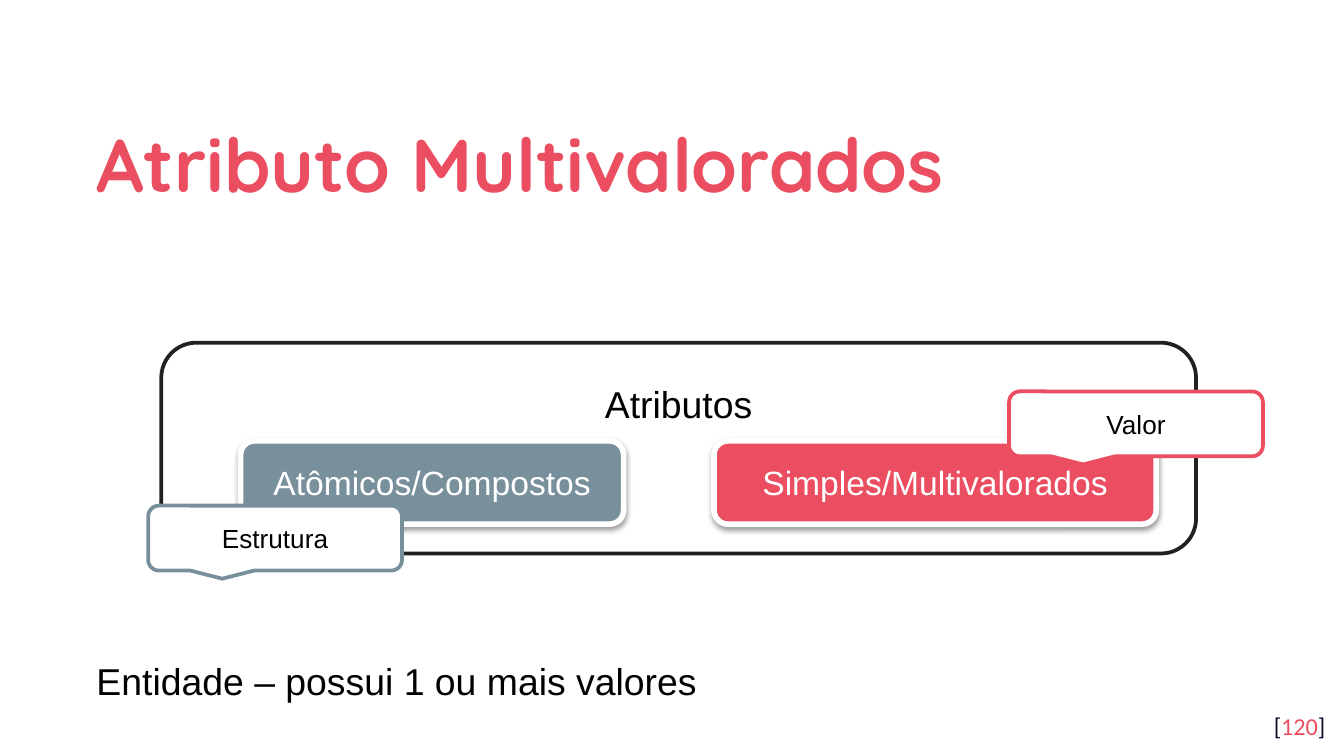
from dataclasses import dataclass

from lxml import etree
from pptx import Presentation
from pptx import util as u
from pptx.dml.color import RGBColor
from pptx.enum import shapes, text
from pptx.oxml.ns import qn

PP = text.PP_ALIGN
ANCHOR = text.MSO_ANCHOR
KIND = shapes.MSO_SHAPE


@dataclass(frozen=True)
class Theme:
    accent: str = "EA4E60"
    slate: str = "78909C"
    frame: str = "212121"
    navy: str = "040A24"
    black: str = "000000"
    white: str = "FFFFFF"
    heading: str = "Quicksand"
    body: str = "Arial"
    footer: str = "Calibri"
    title: int = 40
    large: int = 20
    medium: int = 18
    label: int = 14
    number: int = 13


def rgb(value):
    return RGBColor.from_string(value)


def write(tf, runs, font, size, align=PP.LEFT, anchor=ANCHOR.TOP,
          bold=False, spacing=None, margins=(7.2, 3.6, 7.2, 3.6)):
    tf.word_wrap = True
    tf.vertical_anchor = anchor
    tf.margin_left, tf.margin_top, tf.margin_right, tf.margin_bottom = map(u.Pt, margins)
    p = tf.paragraphs[0]
    p.alignment = align
    if spacing:
        p.line_spacing = spacing
    for content, color in runs:
        r = p.add_run()
        r.text = content
        r.font.name = font
        r.font.size = u.Pt(size)
        r.font.bold = bold
        r.font.color.rgb = rgb(color)


class Deck:
    def __init__(self, theme, width, height):
        self.theme = theme
        self.prs = Presentation()
        self.prs.slide_width = u.Pt(width)
        self.prs.slide_height = u.Pt(height)
        self.s = None

    def slide(self):
        self.s = self.prs.slides.add_slide(self.prs.slide_layouts[6])

    def group(self):
        return self.s.shapes.add_group_shape().shapes

    def textbox(self, box, runs, **fmt):
        sp = self.s.shapes.add_textbox(*map(u.Pt, box))
        write(sp.text_frame, runs, **fmt)

    def shape(self, kind, box, fill, line, width, runs, size, parent=None, **fmt):
        target = self.s.shapes if parent is None else parent
        sp = target.add_shape(kind, *map(u.Pt, box))
        sp.shadow.inherit = False
        sp.fill.solid()
        sp.fill.fore_color.rgb = rgb(fill)
        sp.line.color.rgb = rgb(line)
        sp.line.width = u.Pt(width)
        fmt = {"anchor": ANCHOR.MIDDLE, **fmt}
        write(sp.text_frame, runs, font=self.theme.body, size=size, align=PP.CENTER, **fmt)
        return sp

    def card(self, box, fill, label, parent):
        t = self.theme
        sp = self.shape(KIND.ROUNDED_RECTANGLE, box, fill, t.white, 3,
                        [(label, t.white)], t.medium, parent)
        effects = sp._element.spPr.find(qn("a:effectLst"))
        shadow = etree.SubElement(effects, qn("a:outerShdw"), blurRad=str(u.Pt(3.1)),
                                  dist=str(u.Pt(1.6)), dir="5400000", rotWithShape="0")
        color = etree.SubElement(shadow, qn("a:srgbClr"), val=t.black)
        etree.SubElement(color, qn("a:alpha"), val="38000")

    def callout(self, left, top, line, label):
        t = self.theme
        self.shape(KIND.ROUNDED_RECTANGULAR_CALLOUT, (left, top, 136, 34.8),
                   t.white, line, 2, [(label, t.black)], t.label)


def main():
    t = Theme()
    d = Deck(t, 720, 405)
    d.slide()
    even = (7.2,) * 4

    d.textbox((44.6, 50.4, 631.4, 66.2), [("Atributo Multivalorados", t.accent)],
              font=t.heading, size=t.title, bold=True, spacing=1.15,
              anchor=ANCHOR.MIDDLE, margins=even)
    d.textbox((673.9, 373.7, 43.2, 31),
              [("[", t.navy), ("120", t.accent), ("]", t.navy)],
              font=t.footer, size=t.number, align=PP.RIGHT, margins=even)

    attributes = d.group()
    d.shape(KIND.ROUNDED_RECTANGLE, (86.4, 183.6, 554.4, 113), t.white, t.frame, 2,
            [("Atributos", t.black)], t.large, attributes,
            anchor=ANCHOR.TOP, margins=(7.2, 15, 7.2, 3.6))
    for left, width, fill, label in (
        (128.9, 205.2, t.slate, "Atômicos/Compostos"),
        (382.5, 236.9, t.accent, "Simples/Multivalorados"),
    ):
        d.card((left, 236.2, width, 44.6), fill, label, attributes)

    d.callout(540.6, 209.7, t.accent, "Valor")
    d.callout(79.4, 270.9, t.slate, "Estrutura")

    d.textbox((44.6, 349.2, 382.3, 31.7),
              [("Entidade – possui 1 ou mais valores", t.black)],
              font=t.body, size=t.large)
    d.prs.save("out.pptx")


if __name__ == "__main__":
    main()
